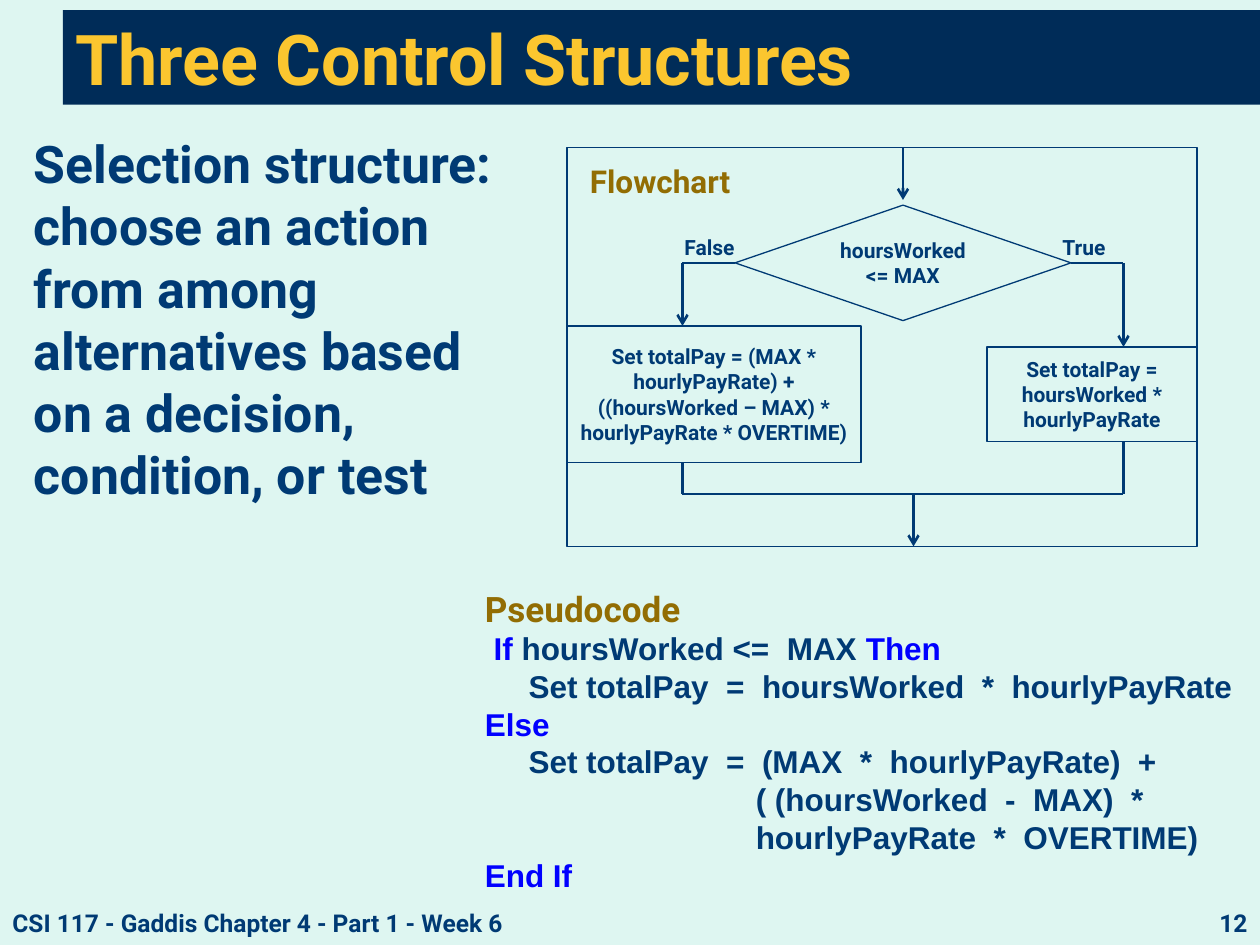
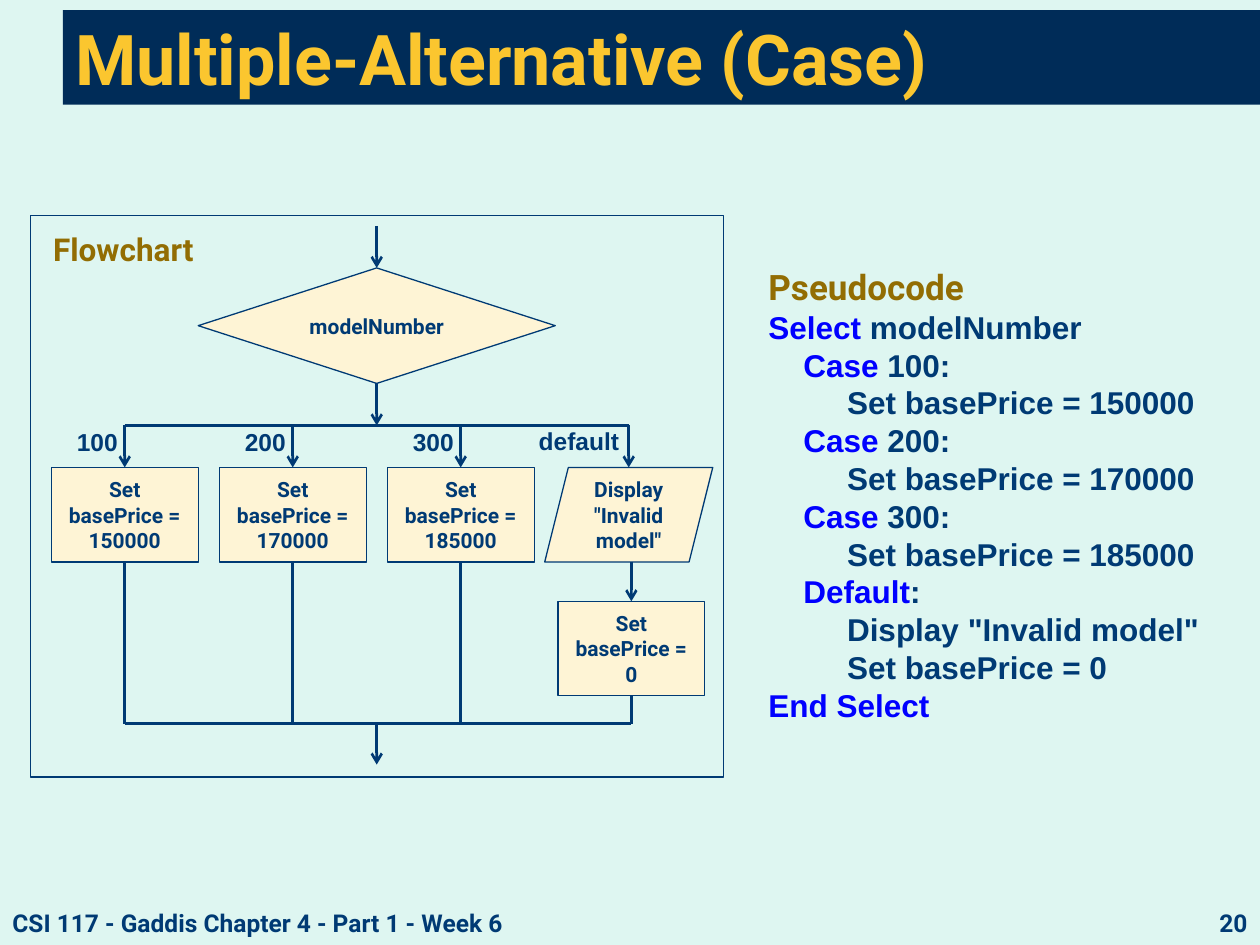
from lxml.etree import SubElement
from pptx import Presentation
from pptx.dml.color import RGBColor
from pptx.enum.shapes import MSO_CONNECTOR, MSO_SHAPE as Preset
from pptx.enum.text import MSO_ANCHOR as Anchor, PP_ALIGN as Align
from pptx.oxml.ns import qn
from pptx.util import Inches, Pt

PAPER, INK, BAND = "DEF6F1", "003A74", "002C58"
GOLD, OCHRE, KEYWORD, CREAM = "FBC62F", "926D03", "0000FF", "FEF4D5"
HEADING, CODE = "Roboto", "Arial"
FOOTER = "CSI 117 - Gaddis Chapter 4 - Part 1 - Week 6"
LINE_HEIGHT = 1.2
CELLS_PER_INCH = 12

# Keywords stand between bars.
PAY_CODE = [
    " |If| hoursWorked <=  MAX |Then|",
    "     Set totalPay  =  hoursWorked  *  hourlyPayRate",
    "|Else|",
    "     Set totalPay  =  (MAX  *  hourlyPayRate)  +",
    "                               ( (hoursWorked  -  MAX)  *",
    "                               hourlyPayRate  *  OVERTIME)",
    "|End If|",
]
PRICE_CODE = [
    "|Select| modelNumber",
    "    |Case| 100:",
    "         Set basePrice = 150000",
    "    |Case| 200:",
    "         Set basePrice = 170000",
    "    |Case| 300:",
    "         Set basePrice = 185000",
    "    |Default|:",
    '         Display "Invalid model"',
    "         Set basePrice = 0",
    "|End Select|",
]
SELECTION_TEXT = ("Selection structure: choose an action from among alternatives "
                  "based on a decision, condition, or test")
OVERTIME_STEP = ("Set totalPay = (MAX * hourlyPayRate) + "
                 "((hoursWorked – MAX) * hourlyPayRate * OVERTIME)")
REGULAR_STEP = "Set totalPay = hoursWorked * hourlyPayRate"
CASES = [("100", "150000"), ("200", "170000"), ("300", "185000")]


def color(hex_code):
    return RGBColor.from_string(hex_code)


def set_font(target, size, ink=INK, name=HEADING):
    font = target.font
    font.name, font.size, font.bold = name, Pt(size), True
    font.color.rgb = color(ink)


def write(shape, text, size, ink=INK, name=HEADING, align=Align.LEFT,
          anchor=Anchor.TOP):
    frame = shape.text_frame
    frame.word_wrap, frame.vertical_anchor = True, anchor
    paragraph = frame.paragraphs[0]
    paragraph.text, paragraph.alignment = text, align
    paragraph.line_spacing = Pt(round(size * LINE_HEIGHT, 1))
    set_font(paragraph, size, ink, name)


def add_text(slide, box, text, size, **style):
    shape = slide.shapes.add_textbox(*map(Inches, box))
    write(shape, text, size, **style)


def add_block(slide, box, fill, outline=None, preset=Preset.RECTANGLE):
    shape = slide.shapes.add_shape(preset, *map(Inches, box))
    shape.shadow.inherit = False
    shape.fill.solid()
    shape.fill.fore_color.rgb = color(fill)
    if outline:
        shape.line.color.rgb = color(outline)
        shape.line.width = Pt(0.75)
    else:
        shape.line.fill.background()
    return shape


def add_base_slide(presentation, title, number):
    """Add a slide with the shared background, title band and footer."""
    slide = presentation.slides.add_slide(presentation.slide_layouts[6])
    slide.background.fill.solid()
    slide.background.fill.fore_color.rgb = color(PAPER)
    band = add_block(slide, (0.5, 0.08, 9.5, 0.75), BAND)
    write(band, title, 40, GOLD, anchor=Anchor.MIDDLE)
    add_text(slide, (0, 7.16, 5.75, 0.33), FOOTER, 14)
    add_text(slide, (7.67, 7.16, 2.33, 0.28), str(number), 14, align=Align.RIGHT)
    return slide


def add_pseudocode(slide, box, lines):
    panel = add_block(slide, box, PAPER)
    fill = panel.fill._xPr.find(qn("a:solidFill"))
    SubElement(fill[0], qn("a:alpha"), val="87000")
    write(panel, "Pseudocode", 20, OCHRE)
    for line in lines:
        paragraph = panel.text_frame.add_paragraph()
        paragraph.alignment = Align.LEFT
        paragraph.line_spacing = Pt(18 * LINE_HEIGHT)
        for index, piece in enumerate(line.split("|")):
            if piece:
                run = paragraph.add_run()
                run.text = piece
                set_font(run, 18, KEYWORD if index % 2 else INK, CODE)


class Flowchart:
    """A framed chart; its lengths are grid cells from the frame's corner."""

    def __init__(self, slide, left, top, columns, rows, step_fill):
        self.slide, self.left, self.top = slide, left, top
        self.step_fill = step_fill
        self.side_middles = {}
        add_block(slide, self.box(0, 0, columns, rows), PAPER, INK)
        heading = add_block(slide, self.box(1, 0.8, 19, 4.8), PAPER)
        write(heading, "Flowchart", 18, OCHRE)

    def point(self, x, y):
        return self.left + x / CELLS_PER_INCH, self.top + y / CELLS_PER_INCH

    def box(self, x, y, width, height):
        return *self.point(x, y), width / CELLS_PER_INCH, height / CELLS_PER_INCH

    def step(self, text, x, y, width, height, preset=Preset.RECTANGLE):
        shape = add_block(self.slide, self.box(x, y, width, height),
                          self.step_fill, INK, preset)
        write(shape, text, 12, align=Align.CENTER, anchor=Anchor.MIDDLE)
        if preset != Preset.PARALLELOGRAM:
            center, middle = x + width / 2, y + height / 2
            sides = [(center, y), (x, middle), (center, y + height), (x + width, middle)]
            for side, place in enumerate(sides):
                self.side_middles[place] = shape, side

    def label(self, text, x, y, size, width, name=HEADING):
        add_text(self.slide, self.box(x, y, width, 4), text, size, name=name)

    def line(self, start, end, arrow=False):
        """Draw a line, joined to a step wherever it meets the middle of a side."""
        ends = [Inches(v) for v in self.point(*start) + self.point(*end)]
        connector = self.slide.shapes.add_connector(MSO_CONNECTOR.STRAIGHT, *ends)
        connector.line.color.rgb = color(INK)
        connector.line.width = Pt(1.5)
        if arrow:
            SubElement(connector.line._get_or_add_ln(), qn("a:tailEnd"), type="arrow")
        SubElement(connector._element.spPr, qn("a:effectLst"))
        if start in self.side_middles:
            connector.begin_connect(*self.side_middles[start])
        if end in self.side_middles:
            connector.end_connect(*self.side_middles[end])

    def arrow(self, start, end):
        self.line(start, end, arrow=True)


def build_selection(presentation):
    slide = add_base_slide(presentation, "Three Control Structures", 12)
    add_text(slide, (0.17, 1, 4, 3.83), SELECTION_TEXT, 29.6)

    chart = Flowchart(slide, 4.5, 1.17, 60, 38, PAPER)
    false_x, true_x, decision_y, merge_y = 11, 53, 11, 33
    chart.step(REGULAR_STEP, 40, 19, 20, 9)
    chart.step("hoursWorked <= MAX", 16, 5.5, 32, 11, Preset.FLOWCHART_DECISION)
    chart.step(OVERTIME_STEP, 0, 17, 28, 13)
    chart.arrow((32, 0), (32, 5))
    for x, corner_x, step_top, step_bottom in [(false_x, 16, 17, 30),
                                               (true_x, 48, 19, 28)]:
        chart.line((corner_x, decision_y), (x, decision_y))
        chart.arrow((x, decision_y), (x, step_top))
        chart.line((x, step_bottom), (x, merge_y))
    chart.line((false_x, merge_y), (true_x, merge_y))
    chart.arrow((33, merge_y), (33, 38))
    chart.label("False", 10, 7.7, 12, 10)
    chart.label("True", 46, 7.7, 12, 10)

    add_pseudocode(slide, (3.75, 4.61, 6.17, 2.56), PAY_CODE)


def build_case(presentation):
    slide = add_base_slide(presentation, "Multiple-Alternative (Case)", 20)
    add_pseudocode(slide, (6, 2.06, 3.75, 3.77), PRICE_CODE)

    chart = Flowchart(slide, 0.24, 1.71, 66, 53.5, CREAM)
    pitch, first_x, default_x, reset_x, center_x = 16, 9, 57, 57.25, 33
    split_y, step_top, step_bottom, merge_y = 20, 24, 33, 48.4
    chart.step("modelNumber", 16, 5, 34, 11, Preset.FLOWCHART_DECISION)
    for column, (model, price) in enumerate(CASES):
        x = first_x + column * pitch
        chart.step(f"Set basePrice = {price}", x - 7, step_top, 14, 9)
        chart.arrow((x, split_y), (x, step_top))
        chart.line((x, step_bottom), (x, merge_y))
        chart.label(model, x - 5.75, 19.6, 14, 8, CODE)
    chart.step('Display "Invalid model"', 49, step_top, 16, 9, Preset.PARALLELOGRAM)
    chart.step("Set basePrice = 0", reset_x - 7, 36.75, 14, 9)
    chart.label("default", 47.25, 19.5, 14, 12, CODE)
    chart.arrow((default_x, split_y), (default_x, step_top))
    chart.arrow((reset_x, step_bottom), (reset_x, 36.75))
    chart.line((reset_x, 45.75), (reset_x, merge_y))
    chart.line((first_x, split_y), (default_x, split_y))
    chart.line((first_x, merge_y), (reset_x, merge_y))
    for start_y, end_y in [(1, 5), (16, split_y), (merge_y, 52.3)]:
        chart.arrow((center_x, start_y), (center_x, end_y))


def main():
    presentation = Presentation()
    presentation.slide_width, presentation.slide_height = Inches(10), Inches(7.5)
    build_selection(presentation)
    build_case(presentation)
    presentation.save("out.pptx")


if __name__ == "__main__":
    main()
